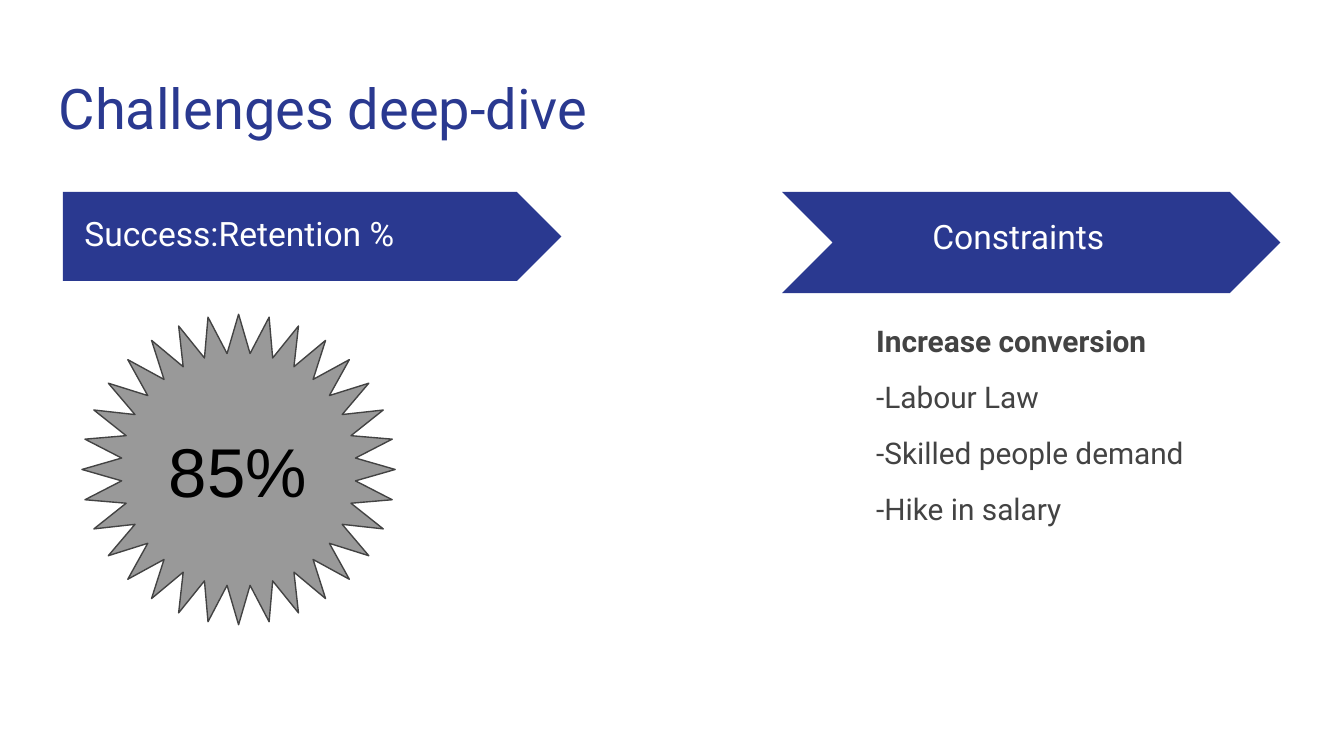
from dataclasses import dataclass

import pptx
import pptx.dml.color
import pptx.enum.shapes
import pptx.enum.text
import pptx.util

Cm = pptx.util.Cm
Pt = pptx.util.Pt
Kind = pptx.enum.shapes.MSO_SHAPE
Anchor = pptx.enum.text.MSO_ANCHOR

NAVY, WHITE, BLACK = "2A3990", "FFFFFF", "000000"
GREY, DARK_GREY = "999999", "434343"


@dataclass
class Area:
    """A place on the slide, in centimetres."""
    left: float
    top: float
    width: float
    height: float

    def lengths(self) -> tuple:
        return Cm(self.left), Cm(self.top), Cm(self.width), Cm(self.height)


@dataclass
class Line:
    """One paragraph of text."""
    text: str
    size: float
    color: str
    font: str = "Roboto"
    bold: bool = False
    spacing: float = 1.0
    before: float = 0


@dataclass
class Banner:
    """An arrow with a label over it."""
    kind: Kind
    area: Area
    label: str
    label_area: Area


def rgb(color: str) -> pptx.dml.color.RGBColor:
    return pptx.dml.color.RGBColor.from_string(color)


def write(shape, lines: list[Line], anchor: Anchor) -> None:
    frame = shape.text_frame
    frame.word_wrap = True
    frame.vertical_anchor = anchor
    frame.margin_left = frame.margin_right = Cm(0.25)
    frame.margin_top = frame.margin_bottom = Cm(0.25)
    for index, line in enumerate(lines):
        para = frame.add_paragraph() if index else frame.paragraphs[0]
        para.alignment = pptx.enum.text.PP_ALIGN.LEFT
        para.line_spacing = line.spacing
        para.space_before = Pt(line.before)
        span = para.add_run()
        span.text = line.text
        span.font.name = line.font
        span.font.size = Pt(line.size)
        span.font.bold = line.bold
        span.font.color.rgb = rgb(line.color)


def add_text(page, area: Area, lines: list[Line], anchor: Anchor = Anchor.TOP) -> None:
    box = page.shapes.add_textbox(*area.lengths())
    write(box, lines, anchor)


def add_figure(page, kind: Kind, area: Area, fill: str, outline: str = ""):
    shape = page.shapes.add_shape(kind, *area.lengths())
    shape.shadow.inherit = False
    shape.fill.solid()
    shape.fill.fore_color.rgb = rgb(fill)
    if outline:
        shape.line.color.rgb = rgb(outline)
        shape.line.width = Pt(0.75)
    else:
        shape.line.fill.background()
    return shape


def add_banner(page, banner: Banner) -> None:
    arrow = add_figure(page, banner.kind, banner.area, NAVY)
    arrow.adjustments[0] = 0.5
    add_text(page, banner.label_area, [Line(banner.label, 18, WHITE)], Anchor.MIDDLE)


BANNERS = [
    Banner(Kind.PENTAGON, Area(1.19, 3.63, 9.42, 1.68),
           " Success:Retention %", Area(1.19, 3.73, 7.14, 1.37)),
    Banner(Kind.CHEVRON, Area(14.78, 3.63, 9.42, 1.91),
           "Constraints", Area(17.37, 4.04, 6.27, 0.86)),
]
CONSTRAINTS = ["-Labour Law", "-Skilled people demand", "-Hike in salary"]


def main() -> None:
    deck = pptx.Presentation()
    deck.slide_width, deck.slide_height = Cm(25.4), Cm(14.29)
    page = deck.slides.add_slide(deck.slide_layouts[6])

    # Title
    add_text(page, Area(0.86, 1.14, 23.67, 1.68), [Line("Challenges deep-dive", 30, NAVY)])

    # Column headings
    for banner in BANNERS:
        add_banner(page, banner)

    # List of constraints
    lines = [Line("Increase conversion", 16, DARK_GREY, bold=True, spacing=1.15)]
    lines += [Line(text, 16, DARK_GREY, spacing=1.15, before=8) for text in CONSTRAINTS]
    add_text(page, Area(16.31, 5.74, 6.86, 7.37), lines)

    # Retention badge
    badge = add_figure(page, Kind.STAR_32_POINT, Area(1.55, 5.94, 5.92, 5.87), GREY, DARK_GREY)
    badge.adjustments[0] = 0.375
    write(badge, [Line("85%", 37, BLACK, font="Arial")], Anchor.MIDDLE)

    deck.save("out.pptx")


if __name__ == "__main__":
    main()
